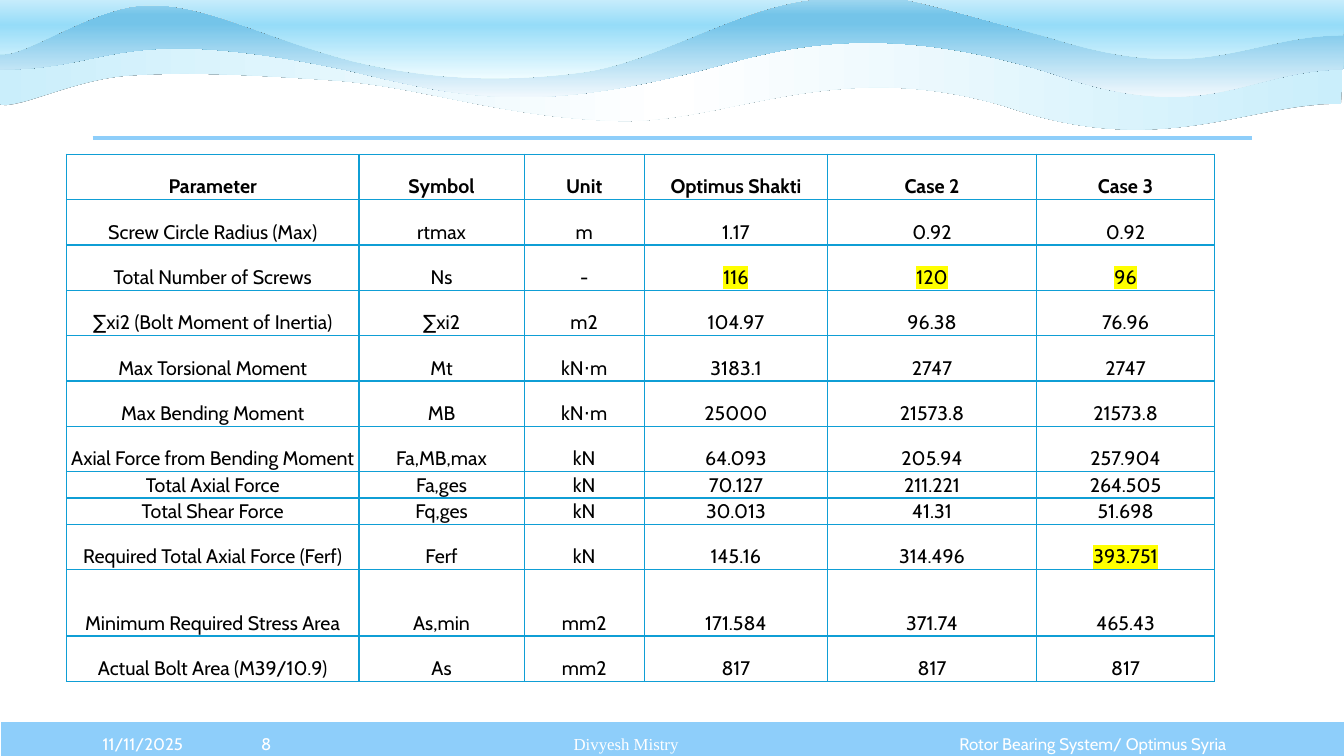
"""Build a slide with a rotor bearing bolt comparison table under a wave banner."""
from lxml.etree import SubElement
from pptx import Presentation
from pptx.dml.color import RGBColor
from pptx.enum.shapes import MSO_CONNECTOR as Connector, MSO_SHAPE as Shape
from pptx.enum.text import MSO_ANCHOR as Anchor, PP_ALIGN as Align
from pptx.oxml.ns import qn
from pptx.util import Inches, Pt

COLORS = {"sky": "8ECEFA", "white": "FFFFFF", "black": "000000",
          "grid": "0F9ED5", "mark": "FFFF00"}
FONT = "Cabin"

ROWS = [
    ["Parameter", "Symbol", "Unit", "Optimus Shakti", "Case 2", "Case 3"],
    ["Screw Circle Radius (Max)", "rtmax", "m", "1.17", "0.92", "0.92"],
    ["Total Number of Screws", "Ns", "-", "116", "120", "96"],
    ["∑xi2 (Bolt Moment of Inertia)", "∑xi2", "m2", "104.97", "96.38", "76.96"],
    ["Max Torsional Moment", "Mt", "kN⋅m", "3183.1", "2747", "2747"],
    ["Max Bending Moment", "MB", "kN⋅m", "25000", "21573.8", "21573.8"],
    ["Axial Force from Bending Moment", "Fa,MB,max", "kN", "64.093", "205.94", "257.904"],
    ["Total Axial Force", "Fa,ges", "kN", "70.127", "211.221", "264.505"],
    ["Total Shear Force", "Fq,ges", "kN", "30.013", "41.31", "51.698"],
    ["Required Total Axial Force (Ferf)", "Ferf", "kN", "145.16", "314.496", "393.751"],
    ["Minimum Required Stress Area", "As,min", "mm2", "171.584", "371.74", "465.43"],
    ["Actual Bolt Area (M39/10.9)", "As", "mm2", "817", "817", "817"],
]
COLUMN_WIDTHS = [2.9, 1.64, 1.19, 1.82, 2.07, 1.77]
ROW_HEIGHTS = [0.45] * 7 + [0.26] * 2 + [0.45, 0.66, 0.45]
HIGHLIGHTED = {(2, 3), (2, 4), (2, 5), (9, 5)}

WAVES = [
    {"bounds": (-0.04, 0.3, 13.32, 1.28), "start": (13.3, 1.03),
     "curves": [(12.37, 1.02, 11.52, 1.59, 9.99, 1.06), (8.27, 0.54, 7.21, 1.24, 6.1, 1.2),
                (4.99, 1.16, 4.21, 0.87, 3.35, 0.8), (2.49, 0.74, 1.83, 0.71, 1.27, 0.75),
                (0.71, 0.79, 0.14, 1.11, -0.02, 1.03), (-0.02, 0.8, -0.04, 0.53, -0.04, 0.3)],
     "top": [(3.13, 0.31), (6.52, 0.34), (9.41, 0.32), (13.32, 0.34)],
     "closing": (13.32, 0.55, 13.32, 0.8, 13.3, 1.03),
     "stops": [(0, "CAEEFB"), (50, "FFFFFF"), (100, "CAEEFB")], "angle": 0},
    {"bounds": (0, -0.02, 13.33, 0.96), "start": (13.32, 0.69),
     "curves": [(12.39, 0.69, 11.96, 1.27, 10.44, 0.73), (8.71, 0.19, 7.73, 0.49, 7.06, 0.67),
                (5.28, 1.14, 4.59, 0.97, 3.46, 0.7), (1.13, 0.21, 1.15, 0.69, 0, 0.69),
                (0, 0.46, 0.01, 0.23, 0.01, -0.01)],
     "top": [(3.13, 0), (6.54, -0.02), (9.46, -0.01), (13.33, 0.03)],
     "closing": (13.33, 0.25, 13.34, 0.46, 13.32, 0.69),
     "stops": [(0, "A2D8F0"), (17, "74C4E9"), (26, "74C4E9"), (100, "F0F8FD")], "angle": 270},
    {"bounds": (-0.03, -0.28, 13.33, 0.78), "start": (13.32, 0.35),
     "curves": [(12.39, 0.35, 11.96, 0.86, 10.44, 0.38), (8.72, -0.09, 8.91, -0.07, 8.13, -0.01),
                (7.35, 0.04, 6.53, 0.62, 5.76, 0.72), (4.98, 0.82, 4.24, 0.79, 3.47, 0.6),
                (2.58, 0.36, 2.07, 0.05, 1.5, 0.05), (0.92, 0.04, 0.22, 0.61, -0.03, 0.53),
                (-0.02, 0.32, 0.01, -0.06, 0.01, -0.27)],
     "top": [(3.13, -0.26), (6.54, -0.28), (9.46, -0.27), (13.33, -0.24)],
     "closing": (13.33, -0.04, 13.34, 0.14, 13.32, 0.35),
     "stops": [(0, "FFFFFF"), (50, "96DCF8"), (100, "EFFCFF")], "angle": 270},
]


def rgb(name):
    return RGBColor.from_string(COLORS[name])


def add_color(parent, value):
    return SubElement(parent, qn("a:srgbClr"), val=value)


def add_wave(page, bounds, start, curves, top, closing, stops, angle):
    """Draw one gradient wave whose outline mixes curves and lines."""
    left, upper, right, lower = map(Inches, bounds)
    builder = page.shapes.build_freeform(left, upper)
    builder.add_line_segments([(right, upper), (right, lower), (left, lower)], close=True)
    wave = builder.convert_to_shape()
    outline = next(wave.element.iter(qn("a:path")))
    for step in list(outline):
        outline.remove(step)
    steps = [("moveTo", start)] + [("cubicBezTo", curve) for curve in curves]
    steps += [("lnTo", point) for point in top] + [("cubicBezTo", closing), ("close", ())]
    for kind, numbers in steps:
        step = SubElement(outline, qn(f"a:{kind}"))
        for x, y in zip(numbers[::2], numbers[1::2]):
            SubElement(step, qn("a:pt"), x=str(Inches(x) - left), y=str(Inches(y) - upper))
    wave.line.fill.background()
    wave.fill.gradient()
    wave.fill.gradient_angle = angle
    stop_list = next(wave.element.spPr.iter(qn("a:gsLst")))
    stop_list.clear()
    for position, color in stops:
        add_color(SubElement(stop_list, qn("a:gs"), pos=str(position * 1000)), color)
    wave.shadow.inherit = False
    effects = wave.element.spPr.find(qn("a:effectLst"))
    add_color(SubElement(effects, qn("a:outerShdw"), blurRad="0", dist="0"), COLORS["black"])


def add_footer_bar(page):
    bar = page.shapes.add_shape(Shape.RECTANGLE, 0, Inches(7.15), Inches(13.35), Inches(0.4))
    bar.shadow.inherit = False
    bar.fill.solid()
    bar.fill.fore_color.rgb = rgb("sky")
    bar.line.color.rgb = rgb("white")
    bar.line.width = Pt(1.5)


def add_rule(page):
    rule = page.shapes.add_connector(Connector.STRAIGHT, Inches(0.92), Inches(1.37),
                                     Inches(12.42), Inches(1.37))
    rule.line.color.rgb = rgb("sky")
    rule.line.width = Pt(3)
    SubElement(rule.element.spPr, qn("a:effectLst"))


def style_paragraph(para, size, color, align, font=FONT, bold=False):
    para.alignment = align
    para.font.size = Pt(size)
    para.font.name = font
    para.font.bold = bold
    para.font.color.rgb = rgb(color)


def add_footer_text(page, text, left, top, width, height, align=Align.CENTER, font=FONT):
    box = page.shapes.add_textbox(Inches(left), Inches(top), Inches(width), Inches(height))
    frame = box.text_frame
    frame.word_wrap = True
    frame.vertical_anchor = Anchor.MIDDLE
    frame.text = text
    style_paragraph(frame.paragraphs[0], 12, "white", align, font)


def add_borders(cell):
    properties = cell._tc.get_or_add_tcPr()
    for side in ("lnL", "lnR", "lnT", "lnB"):
        border = SubElement(properties, qn(f"a:{side}"), w=str(Pt(1)))
        add_color(SubElement(border, qn("a:solidFill")), COLORS["grid"])


def fill_cell(cell, text, bold, highlighted):
    cell.margin_left = cell.margin_right = Inches(0.02)
    cell.margin_top = cell.margin_bottom = Inches(0.01)
    cell.vertical_anchor = Anchor.BOTTOM
    add_borders(cell)
    cell.fill.background()
    para = cell.text_frame.paragraphs[0]
    span = para.add_run()
    span.text = text
    style_paragraph(para, 14, "black", Align.CENTER, bold=bold)
    if highlighted:
        properties = span._r.get_or_add_rPr()
        add_color(SubElement(properties, qn("a:highlight")), COLORS["mark"])


def add_bolt_table(page):
    frame = page.shapes.add_table(len(ROWS), len(COLUMN_WIDTHS), Inches(0.66), Inches(1.53),
                                  Inches(sum(COLUMN_WIDTHS)), Inches(sum(ROW_HEIGHTS)))
    table = frame.table
    table.first_row = table.horz_banding = False
    for column, width in zip(table.columns, COLUMN_WIDTHS):
        column.width = Inches(width)
    for row, height in zip(table.rows, ROW_HEIGHTS):
        row.height = Inches(height)
    for r, values in enumerate(ROWS):
        for c, text in enumerate(values):
            fill_cell(table.cell(r, c), text, r == 0, (r, c) in HIGHLIGHTED)


def main():
    deck = Presentation()
    deck.slide_width, deck.slide_height = Inches(13.33), Inches(7.5)
    page = deck.slides.add_slide(deck.slide_layouts[6])
    add_footer_bar(page)
    for wave in WAVES:
        add_wave(page, **wave)
    add_footer_text(page, "Divyesh Mistry", 3.15, 7.18, 6.12, 0.4, font="Times New Roman")
    add_footer_text(page, "Rotor Bearing System/ Optimus Syria", 9.3, 7.24, 3.08, 0.28)
    add_rule(page)
    add_footer_text(page, "11/11/2025", 0.92, 7.18, 1.22, 0.4, Align.LEFT)
    add_footer_text(page, "8", 2.13, 7.18, 1.02, 0.4)
    add_bolt_table(page)
    deck.save("out.pptx")


if __name__ == "__main__":
    main()
